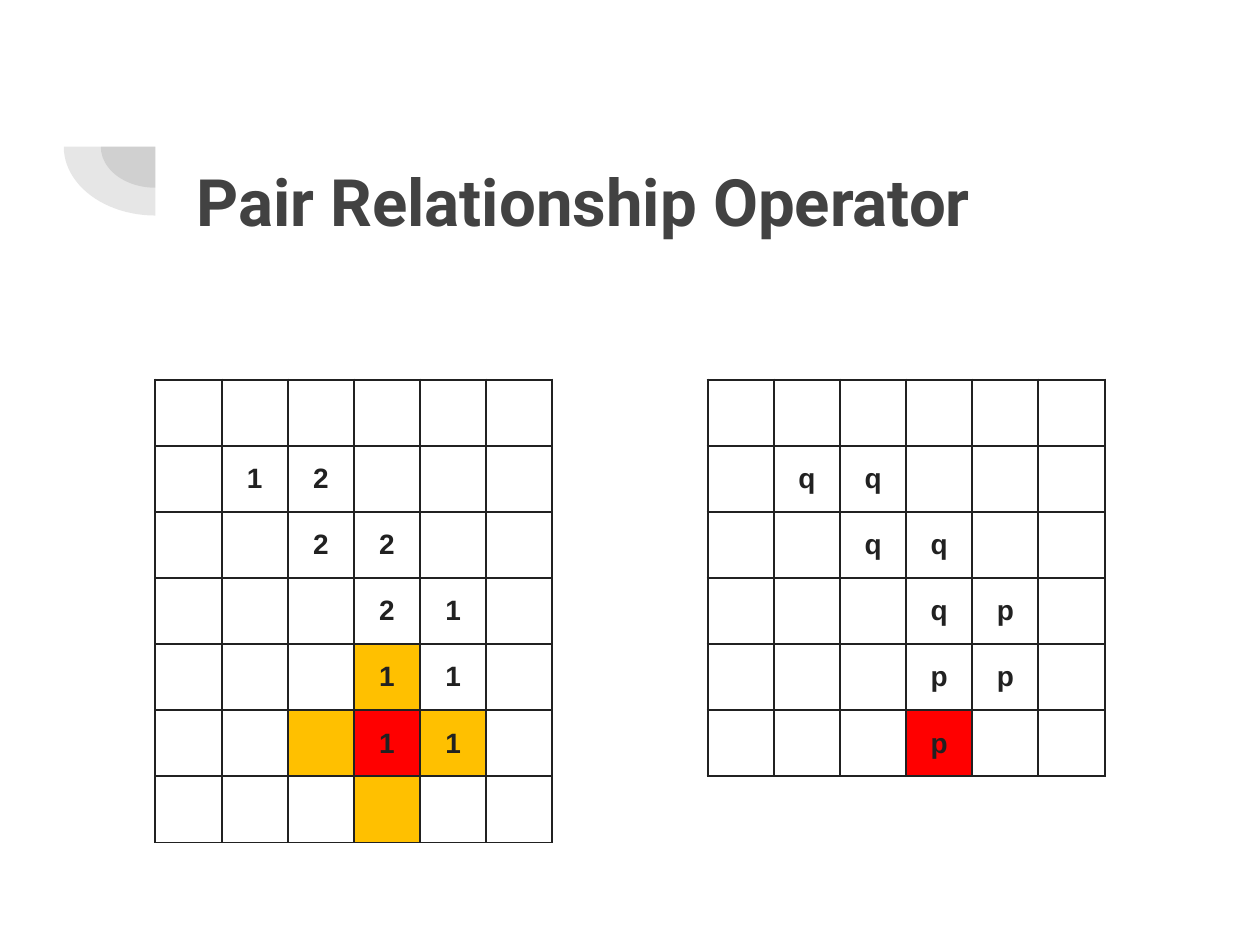
from lxml import etree
from pptx import Presentation
from pptx.dml.color import RGBColor
from pptx.enum import shapes, text
from pptx.oxml import ns
from pptx.util import Cm, Pt

WHITE = RGBColor(0xFF, 0xFF, 0xFF)
INK = RGBColor(0x21, 0x21, 0x21)
GREY = RGBColor(0x42, 0x42, 0x42)
RED = RGBColor(0xFF, 0x00, 0x00)
AMBER = RGBColor(0xFF, 0xC0, 0x00)

CELL = Cm(1)
LABELS = ["......", ".12...", "..22..", "...21.", "...11.", "...11.", "......"]
PAIRS = ["......", ".qq...", "..qq..", "...qp.", "...pp.", "...p.."]
CENTRE = (5, 3)
NEIGHBOURS = [(4, 3), (5, 2), (5, 4), (6, 3)]


def add_quarter_disc(page, centre_x, centre_y, width, height):
    """Draw the lower left quarter of an ellipse in translucent grey."""
    disc = page.shapes.add_shape(
        shapes.MSO_SHAPE.PIE, centre_x - width // 2, centre_y - height // 2, width, height)
    # Pie angles run clockwise in 60000ths of a degree, scaled by 100000
    disc.adjustments[0] = 90 * 0.6
    disc.adjustments[1] = 180 * 0.6
    disc.shadow.inherit = False
    disc.line.fill.background()
    disc.fill.solid()
    disc.fill.fore_color.rgb = GREY
    colour = disc._element.spPr.find(".//" + ns.qn("a:srgbClr"))
    etree.SubElement(colour, ns.qn("a:alpha"), val="13000")


def add_title(page, left, top, width, height):
    title = page.shapes.title
    title.left, title.top, title.width, title.height = left, top, width, height
    frame = title.text_frame
    frame.text = "Pair Relationship Operator"
    frame.word_wrap = True
    frame.auto_size = text.MSO_AUTO_SIZE.NONE
    frame.vertical_anchor = text.MSO_ANCHOR.MIDDLE
    frame.margin_left = frame.margin_right = Cm(0.25)
    frame.margin_top = frame.margin_bottom = Cm(0.25)
    para = frame.paragraphs[0]
    para.alignment = text.PP_ALIGN.LEFT
    para.font.name = "Roboto"
    para.font.size = Pt(28)
    para.font.bold = True
    para.font.color.rgb = GREY


def add_borders(cell):
    properties = cell._tc.get_or_add_tcPr()
    for index, side in enumerate(("lnL", "lnR", "lnT", "lnB")):
        line = etree.Element(ns.qn("a:" + side), w=str(Pt(1)))
        fill = etree.SubElement(line, ns.qn("a:solidFill"))
        etree.SubElement(fill, ns.qn("a:srgbClr"), val=str(INK))
        properties.insert(index, line)


def format_cell(cell, label, colour):
    cell.margin_left = cell.margin_right = 0
    cell.margin_top = cell.margin_bottom = 0
    cell.vertical_anchor = text.MSO_ANCHOR.MIDDLE
    cell.fill.solid()
    cell.fill.fore_color.rgb = colour
    add_borders(cell)
    cell.text = label
    para = cell.text_frame.paragraphs[0]
    para.alignment = text.PP_ALIGN.CENTER
    para.font.name = "Arial"
    para.font.size = Pt(12)
    para.font.bold = True
    para.font.color.rgb = INK


def add_pixel_grid(page, left, top, rows, highlights):
    """Draw rows of one-letter cells; a dot is empty, highlights maps (row, column) to a fill."""
    row_count, column_count = len(rows), len(rows[0])
    table = page.shapes.add_table(
        row_count, column_count, left, top, column_count * CELL, row_count * CELL).table
    table.first_row = table.horz_banding = False
    for column in table.columns:
        column.width = CELL
    for r, row in enumerate(rows):
        table.rows[r].height = CELL
        for c, label in enumerate(row):
            format_cell(table.cell(r, c), label.replace(".", ""),
                        highlights.get((r, c), WHITE))


def main():
    deck = Presentation()
    deck.slide_width, deck.slide_height = Cm(19.05), Cm(14.29)
    page = deck.slides.add_slide(deck.slide_layouts[5])
    page.background.fill.solid()
    page.background.fill.fore_color.rgb = WHITE

    for width, height in ((Cm(1.65), Cm(1.24)), (Cm(2.77), Cm(2.08))):
        add_quarter_disc(page, Cm(2.35), Cm(2.22), width, height)
    add_title(page, Cm(2.72), Cm(1.65), Cm(14.66), Cm(2.77))

    grid_top = Cm(5.74)
    neighbourhood = {CENTRE: RED, **dict.fromkeys(NEIGHBOURS, AMBER)}
    add_pixel_grid(page, Cm(2.35), grid_top, LABELS, neighbourhood)
    add_pixel_grid(page, Cm(10.7), grid_top, PAIRS, {CENTRE: RED})
    deck.save("out.pptx")


if __name__ == "__main__":
    main()
